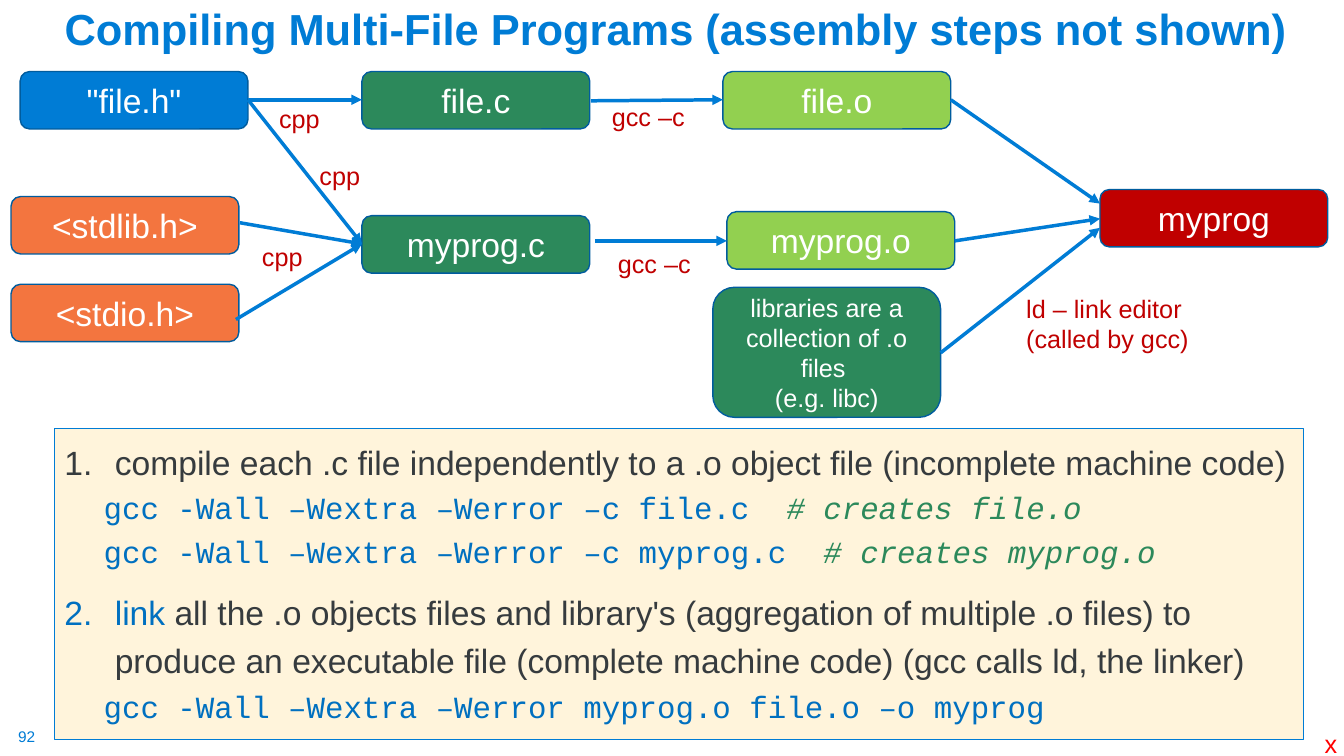
from dataclasses import dataclass

from lxml.etree import SubElement
from pptx import Presentation
from pptx.dml.color import RGBColor
from pptx.enum.shapes import MSO_CONNECTOR as Connector, MSO_SHAPE as Shape
from pptx.enum.text import MSO_ANCHOR as Anchor, MSO_AUTO_SIZE as AutoSize, PP_ALIGN as Align
from pptx.oxml.ns import qn
from pptx.util import Inches, Pt


@dataclass(frozen=True)
class Theme:
    sans: str = "Arial"
    mono: str = "Courier New"
    blue: str = "007CD5"
    edge: str = "005C9E"
    green: str = "2C895B"
    lime: str = "92D050"
    orange: str = "F3753F"
    red: str = "C00000"
    mark: str = "FF0000"
    code: str = "0070C0"
    ink: str = "363B3E"
    cream: str = "FFF4DB"
    white: str = "FFFFFF"
    title_size: float = 31
    body_size: float = 24
    code_size: float = 22
    label_size: float = 18
    number_size: float = 11


THEME = Theme()

# Content
TITLE = "Compiling Multi-File Programs (assembly steps not shown)"
FILE_W, FILE_H = 2.26, 0.57
# name, left, top, fill
FILES = [
    ('"file.h"', 0.2, 0.71, THEME.blue),
    ("file.c", 3.59, 0.71, THEME.green),
    ("file.o", 7.17, 0.71, THEME.lime),
    ("<stdlib.h>", 0.11, 1.95, THEME.orange),
    ("<stdio.h>", 0.11, 2.82, THEME.orange),
    ("myprog.c", 3.59, 2.14, THEME.green),
    ("myprog.o", 7.21, 2.1, THEME.lime),
    ("myprog", 10.91, 1.88, THEME.red),
]
LIBRARIES = ["libraries are a", "collection of .o files ", "(e.g. libc)"]
LIBRARIES_AT = (7.07, 2.85, FILE_W, 1.29)
# start, end
ARROWS = [
    ((2.46, 0.99), (3.59, 0.99)),
    ((2.46, 0.99), (3.59, 2.42)),
    ((2.38, 2.21), (3.59, 2.42)),
    ((2.34, 3.17), (3.59, 2.42)),
    ((5.86, 1), (7.17, 0.99)),
    ((5.9, 2.39), (7.21, 2.39)),
    ((9.43, 0.99), (10.91, 2.02)),
    ((9.47, 2.39), (10.91, 2.17)),
    ((9.33, 3.5), (10.91, 2.26)),
]
# lines, place
TOOLS = [
    (["cpp"], (2.67, 0.98, 0.61, 0.4)),
    (["cpp"], (3.07, 1.54, 0.61, 0.4)),
    (["cpp"], (2.5, 2.34, 0.61, 0.4)),
    (["gcc –c"], (5.97, 0.96, 1, 0.4)),
    (["gcc –c"], (6.03, 2.41, 1, 0.4)),
    (["ld – link editor", "(called by gcc)"], (10.08, 2.86, 1.83, 0.71)),
]
# kind, then (text, colour) pieces
STEPS = [
    ("step", [("compile each .c file independently to a .o object file "
               "(incomplete machine code)", THEME.ink)]),
    ("command", [("gcc -Wall –Wextra –Werror –c file.c  ", THEME.code),
                 ("# creates file.o", THEME.green)]),
    ("command", [("gcc -Wall –Wextra –Werror –c myprog.c  ", THEME.code),
                 ("# creates myprog.o", THEME.green)]),
    ("step", [("link", THEME.code),
              (" all the .o objects files and library's (aggregation of multiple .o files) "
               "to produce an executable file (complete machine code) "
               "(gcc calls ld, the linker)", THEME.ink)]),
    ("command", [("gcc -Wall –Wextra –Werror myprog.o file.o –o myprog", THEME.code)]),
]


def rgb(colour):
    return RGBColor.from_string(colour)


def set_font(font, size, colour, face=THEME.sans):
    font.name, font.size = face, Pt(size)
    font.color.rgb = rgb(colour)


def write(frame, lines, size, colour, align=Align.LEFT):
    for i, line in enumerate(lines):
        para = frame.add_paragraph() if i else frame.paragraphs[0]
        para.text = line
        para.alignment = align
        set_font(para.font, size, colour)


def add_panel(slide, kind, at, fill, edge, width):
    panel = slide.shapes.add_shape(kind, *map(Inches, at))
    panel.shadow.inherit = False
    panel.fill.solid()
    panel.fill.fore_color.rgb = rgb(fill)
    panel.line.color.rgb = rgb(edge)
    panel.line.width = Pt(width)
    panel.text_frame.word_wrap = True
    return panel


def add_node(slide, lines, at, fill, size):
    node = add_panel(slide, Shape.ROUNDED_RECTANGLE, at, fill, THEME.edge, 1)
    node.text_frame.vertical_anchor = Anchor.MIDDLE
    write(node.text_frame, lines, size, THEME.white, Align.CENTER)


def add_label(slide, lines, at, size, colour, inset=None):
    frame = slide.shapes.add_textbox(*map(Inches, at)).text_frame
    frame.word_wrap = False
    if inset is not None:
        frame.margin_left = frame.margin_right = Inches(inset)
        frame.margin_top = frame.margin_bottom = Inches(inset)
    write(frame, lines, size, colour)


def add_arrow(slide, start, end):
    arrow = slide.shapes.add_connector(Connector.STRAIGHT, *map(Inches, start + end))
    arrow.line.color.rgb = rgb(THEME.blue)
    arrow.line.width = Pt(2.5)
    SubElement(arrow.line._get_or_add_ln(), qn("a:tailEnd"), type="triangle")
    SubElement(arrow._element.spPr, qn("a:effectLst"))


def add_steps(slide):
    frame = add_panel(slide, Shape.RECTANGLE, (0.54, 4.25, 12.39, 3.09),
                      THEME.cream, THEME.blue, 0.75).text_frame
    frame.vertical_anchor = Anchor.TOP
    for i, (kind, pieces) in enumerate(STEPS):
        is_step = kind == "step"
        para = frame.add_paragraph() if i else frame.paragraphs[0]
        para.alignment = Align.LEFT
        if i:
            para.space_before = Pt(10 if is_step else 5)
        props = para._p.get_or_add_pPr()
        props.set("marL", str(Inches(0.5 if is_step else 0.39)))
        props.set("indent", str(Inches(-0.5 if is_step else 0)))
        if is_step:
            para.line_spacing = 1.2
            SubElement(props, qn("a:buFont"), typeface="+mj-lt")
            SubElement(props, qn("a:buAutoNum"), type="arabicPeriod")
        else:
            para.level = 1
            SubElement(props, qn("a:buNone"))
        size, face = ((THEME.body_size, THEME.sans) if is_step
                      else (THEME.code_size, THEME.mono))
        set_font(para.font, size, pieces[0][1], face)
        for text, colour in pieces:
            run = para.add_run()
            run.text = text
            set_font(run.font, size, colour, face)
            run.font.italic = text.startswith("#")


def main():
    deck = Presentation()
    deck.slide_width, deck.slide_height = Inches(13.33), Inches(7.5)
    slide = deck.slides.add_slide(deck.slide_layouts[5])

    # Title
    title = slide.shapes.title
    title.left, title.top, title.width, title.height = map(Inches, (0.54, 0.09, 12.39, 0.5))
    heading = title.text_frame
    heading.auto_size = AutoSize.NONE
    heading.vertical_anchor = Anchor.BOTTOM
    write(heading, [TITLE], THEME.title_size, THEME.blue)
    heading.paragraphs[0].font.bold = True
    heading.paragraphs[0].line_spacing = 0.9

    # Build diagram
    add_node(slide, LIBRARIES, LIBRARIES_AT, THEME.green, THEME.label_size)
    for name, left, top, fill in FILES:
        add_node(slide, [name], (left, top, FILE_W, FILE_H), fill, THEME.body_size)
    for start, end in ARROWS:
        add_arrow(slide, start, end)
    for lines, at in TOOLS:
        add_label(slide, lines, at, THEME.label_size, THEME.red)

    # Numbered steps
    add_steps(slide)

    # Page number and corner mark
    add_label(slide, ["92"], (0.18, 7.21, 0.19, 0.19), THEME.number_size, THEME.blue, 0)
    add_label(slide, ["x"], (13.04, 7.18, 0.33, 0.4), THEME.label_size, THEME.mark)

    deck.save("out.pptx")


if __name__ == "__main__":
    main()
